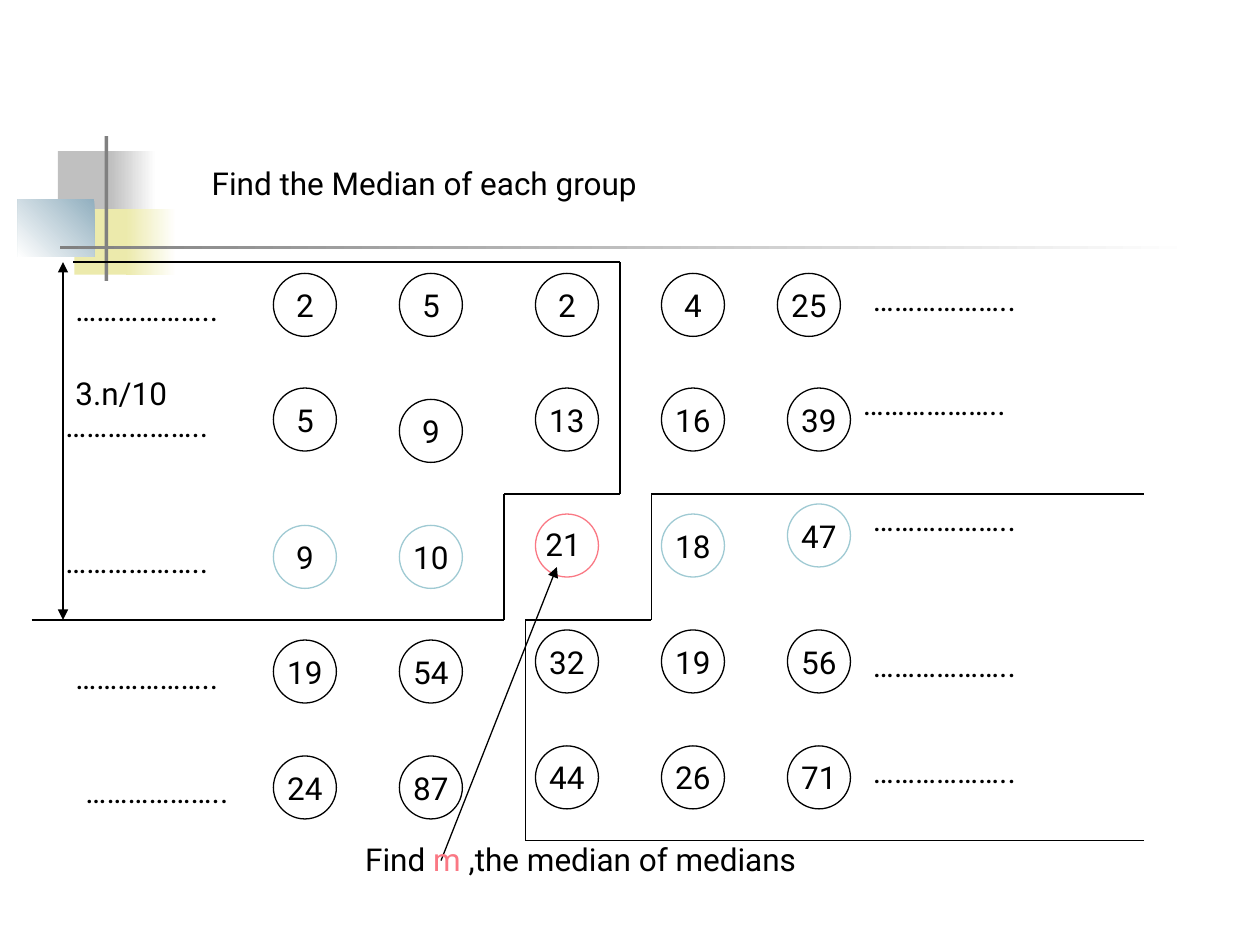
from pptx import Presentation
from pptx.dml.color import RGBColor
from pptx.enum.shapes import MSO_CONNECTOR, MSO_SHAPE
from pptx.enum.text import MSO_ANCHOR, MSO_AUTO_SIZE, PP_ALIGN
from pptx.oxml.ns import qn
from pptx.util import Inches, Pt
from lxml import etree

RECTANGLE, OVAL = MSO_SHAPE.RECTANGLE, MSO_SHAPE.OVAL
STRAIGHT = MSO_CONNECTOR.STRAIGHT
TOP, MIDDLE = MSO_ANCHOR.TOP, MSO_ANCHOR.MIDDLE
LEFT, CENTER = PP_ALIGN.LEFT, PP_ALIGN.CENTER
FIT_SHAPE = MSO_AUTO_SIZE.SHAPE_TO_FIT_TEXT

FONT, BLACK, WHITE, TEAL, PINK = "Roboto", "000000", "FFFFFF", "9FCAD3", "FA7884"
TITLE = "Find the Median of each group"
DOTS = "……………….."
ORNAMENTS = [
    ((0.46, 1.2, 0.48, 0.52), ["C0C0C0"], 0),
    ((0.88, 1.2, 0.36, 0.52), [WHITE, "C0C0C0"], 180),
    ((0.59, 1.66, 0.46, 0.52), ["ECEAAC"], 0),
    ((1, 1.66, 0.4, 0.52), [WHITE, "ECEAAC"], 180),
    ((0.14, 1.58, 0.61, 0.46), ["91AFBF", WHITE], 225),
    ((0.83, 1.08, 0.03, 1.15), ["808080"], 0),
    ((0.48, 1.95, 9, 0.03), [WHITE, "808080"], 180),
]
DIAMETER, MEDIAN_ROW = 0.5, 2
GROUPS = [
    (2.17, ["2", "5", "9", "19", "24"], [2.17, 3.08, 4.17, 5.08, 6]),
    (3.17, ["5", "9", "10", "54", "87"], [2.17, 3.17, 4.17, 5.08, 6]),
    (4.25, ["2", "13", "", "32", "44"], [2.17, 3.08, 4.08, 5, 5.92]),
    (5.25, ["4", "16", "18", "19", "26"], [2.17, 3.08, 4.08, 5, 5.92]),
    (6.25, ["25", "39", "47", "56", "71"], [2.17, 3.08, 4, 5, 5.92]),
]
SHIFTED_LEFT = {"25": 6.17}
DOT_PLACES = [
    (0.5, 2.25), (0.42, 3.17), (0.42, 4.25), (0.5, 5.17), (0.58, 6.08),
    (6.83, 2.17), (6.75, 3), (6.83, 3.92), (6.83, 5.08), (6.83, 5.92),
]
BOUNDARIES = [
    [(0.25, 4.92), (4, 4.92), (4, 3.92), (4.92, 3.92), (4.92, 2.08), (0.58, 2.08)],
    [(9.08, 6.67), (4.17, 6.67), (4.17, 4.92), (5.17, 4.92), (5.17, 3.92), (9.08, 3.92)],
]
MEDIAN_ARROW = ((4.42, 4.5), (3.5, 6.83))
HEIGHT_ARROW = ((0.5, 2.08), (0.5, 4.92))
CAPTION = [("Find ", BLACK), ("m", PINK), (" ,the median of medians", BLACK)]


def color(value):
    return RGBColor.from_string(value)


def style(paragraph, align=LEFT):
    paragraph.alignment = align
    paragraph.font.name, paragraph.font.size = FONT, Pt(18)
    paragraph.font.color.rgb = color(BLACK)


def add_shape(page, kind, place, colors, angle=0, outline=None):
    shape = page.shapes.add_shape(kind, *map(Inches, place))
    shape.shadow.inherit = False
    if len(colors) == 1:
        shape.fill.solid()
        shape.fill.fore_color.rgb = color(colors[0])
    else:
        shape.fill.gradient()
        shape.fill.gradient_angle = angle
        for stop, value in zip(shape.fill.gradient_stops, colors):
            stop.color.rgb = color(value)
    if outline:
        shape.line.color.rgb = color(outline)
        shape.line.width = Pt(0.75)
    else:
        shape.line.fill.background()
    return shape


def add_circle(page, left, top, number, outline):
    circle = add_shape(page, OVAL, (left, top, DIAMETER, DIAMETER), [WHITE], outline=outline)
    if number:
        frame = circle.text_frame
        frame.word_wrap, frame.vertical_anchor = False, MIDDLE
        frame.text = number
        style(frame.paragraphs[0], CENTER)


def add_text(page, left, top, width, spans, wrap=True):
    box = page.shapes.add_textbox(*map(Inches, (left, top, width, 0.4)))
    frame = box.text_frame
    frame.word_wrap, frame.auto_size = wrap, FIT_SHAPE
    para = frame.paragraphs[0]
    style(para)
    for text, value in spans:
        span = para.add_run()
        span.text = text
        if value != BLACK:
            span.font.color.rgb = color(value)


def add_line(page, start, end, arrows=()):
    line = page.shapes.add_connector(STRAIGHT, *map(Inches, start + end))
    line.line.color.rgb = color(BLACK)
    line.line.width = Pt(0.75)
    for arrow in arrows:
        etree.SubElement(line.line._get_or_add_ln(), qn(arrow), type="triangle")
    etree.SubElement(line._element.spPr, qn("a:effectLst"))


def set_title(page):
    title = page.shapes.title
    title.left, title.top, title.width, title.height = map(Inches, (1.58, 1.25, 6.17, 0.4))
    frame = title.text_frame
    frame.text = TITLE
    frame.word_wrap, frame.auto_size, frame.vertical_anchor = True, FIT_SHAPE, TOP
    style(frame.paragraphs[0])


def main():
    """Build the median-of-medians slide."""
    deck = Presentation()
    deck.slide_width, deck.slide_height = Inches(10), Inches(7.5)
    page = deck.slides.add_slide(deck.slide_layouts[5])
    set_title(page)
    for place, colors, angle in ORNAMENTS:
        add_shape(page, RECTANGLE, place, colors, angle)
    for left, numbers, tops in GROUPS:
        for row, (number, top) in enumerate(zip(numbers, tops)):
            outline = BLACK if row != MEDIAN_ROW else TEAL if number else PINK
            add_circle(page, SHIFTED_LEFT.get(number, left), top, number, outline)
    for left, top in DOT_PLACES:
        add_text(page, left, top, 1.58, [(DOTS, BLACK)])
    for points in BOUNDARIES:
        for start, end in zip(points, points[1:]):
            add_line(page, start, end)
    add_line(page, *MEDIAN_ARROW, arrows=["a:headEnd"])
    add_text(page, 2.8, 6.62, 3.84, CAPTION, wrap=False)
    add_text(page, 4.23, 4.12, 0.48, [("21", BLACK)], wrap=False)
    add_line(page, *HEIGHT_ARROW, arrows=["a:headEnd", "a:tailEnd"])
    add_text(page, 0.5, 2.92, 1, [("3.n/10", BLACK)])
    deck.save("out.pptx")


if __name__ == "__main__":
    main()
